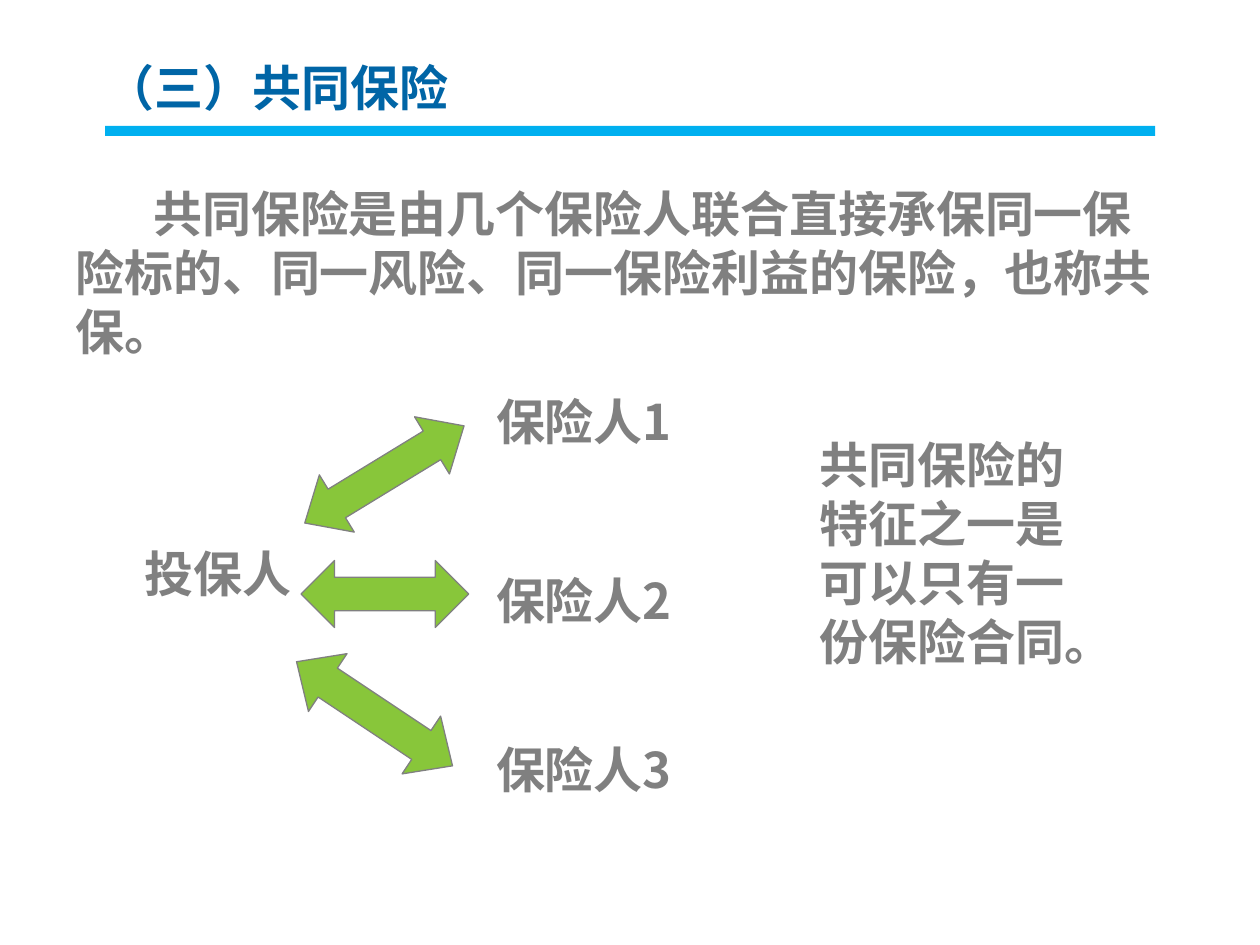
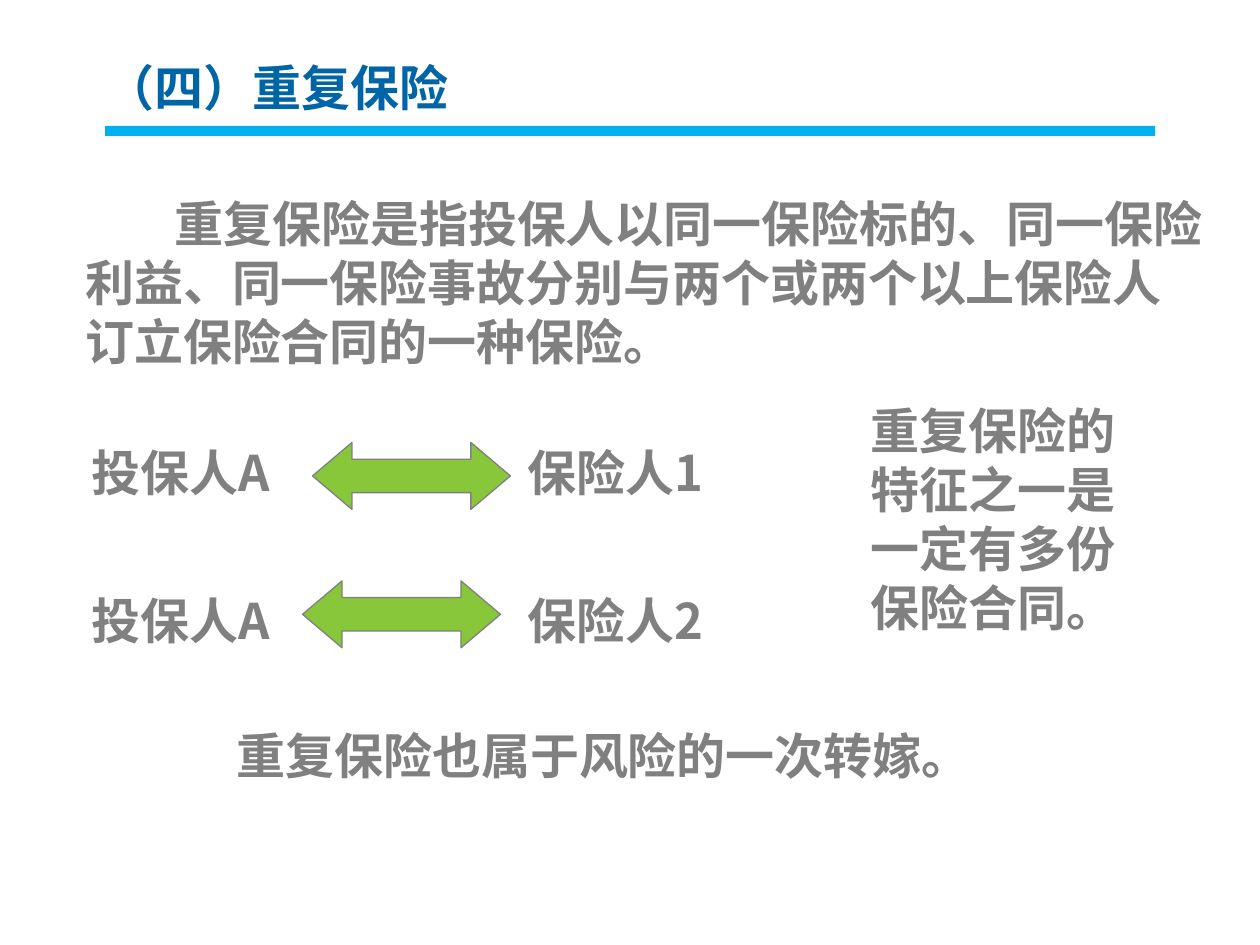
from pptx import Presentation
from pptx.dml.color import RGBColor
from pptx.enum.shapes import MSO_SHAPE
from pptx.enum.text import MSO_ANCHOR, PP_ALIGN
from pptx.oxml.ns import qn
from pptx.util import Cm, Pt

COLORS = {"title": "0065A6", "band": "00B0F0", "body": "808080", "arrow": "88C63A"}
FONT = "Noto Sans CJK SC"
SIZE = Pt(28)
LEADING = Pt(33.6)
TITLE_ONLY = 5


def color(name):
    return RGBColor.from_string(COLORS[name])


def style(frame, name):
    """Give a text frame the deck's insets, font and line pitch."""
    frame.word_wrap = True
    frame.vertical_anchor = MSO_ANCHOR.TOP
    frame.margin_left = frame.margin_right = Cm(0.25)
    frame.margin_top = frame.margin_bottom = Cm(0.18)
    for para in frame.paragraphs:
        para.alignment = PP_ALIGN.LEFT
        para.line_spacing = LEADING
        para.space_before = para.space_after = Pt(0)
        for run in para.runs:
            font = run.font
            font.name, font.size, font.bold = FONT, SIZE, True
            font.color.rgb = color(name)
            east = run._r.get_or_add_rPr().makeelement(qn("a:ea"), {"typeface": FONT})
            font._element.find(qn("a:latin")).addnext(east)


def add_page(deck, title):
    slide = deck.slides.add_slide(deck.slide_layouts[TITLE_ONLY])
    band = slide.shapes.add_shape(
        MSO_SHAPE.RECTANGLE, Cm(2.12), Cm(2.54), Cm(21.17), Cm(0.2))
    band.shadow.inherit = False
    band.fill.solid()
    band.fill.fore_color.rgb = color("band")
    band.line.fill.background()
    head = slide.shapes.title
    head.left, head.top, head.width, head.height = Cm(1.88), Cm(0.97), Cm(22.05), Cm(1.75)
    head.text_frame.text = title
    style(head.text_frame, "title")
    return slide


def add_text(slide, text, left, top, width, height=1.45, indent=0):
    """Place body text; indent applies to its first line only."""
    box = slide.shapes.add_textbox(Cm(left), Cm(top), Cm(width), Cm(height))
    frame = box.text_frame
    frame.text = text
    style(frame, "body")
    if indent:
        frame.paragraphs[0]._p.get_or_add_pPr().set("indent", str(Cm(indent)))


def add_arrow(slide, left, top, width, height=1.35, head=0.5, turn=0):
    arrow = slide.shapes.add_shape(
        MSO_SHAPE.LEFT_RIGHT_ARROW, Cm(left), Cm(top), Cm(width), Cm(height))
    arrow.shadow.inherit = False
    arrow.adjustments[0], arrow.adjustments[1] = 0.5, head
    arrow.rotation = turn
    arrow.fill.solid()
    arrow.fill.fore_color.rgb = color("arrow")
    arrow.line.color.rgb = color("body")
    arrow.line.width = Pt(0.75)


def add_shared(deck):
    slide = add_page(deck, "（三）共同保险")
    add_text(slide, "共同保险是由几个保险人联合直接承保同一保险标的、"
             "同一风险、同一保险利益的保险，也称共保。",
             1.27, 3.53, 22.63, 3.81, indent=1.57)
    add_text(slide, "投保人", 2.67, 10.77, 3.6)
    for num, top in enumerate((7.72, 11.33, 14.73), 1):
        add_text(slide, f"保险人{num}", 9.75, top, 4.1)
    add_text(slide, "共同保险的\n特征之一是\n可以只有一\n份保险合同。",
             16.28, 8.59, 6.6, 5)
    add_arrow(slide, 5.87, 8.89, 3.76, head=0.56, turn=328.6)
    add_arrow(slide, 6.07, 11.3, 3.38)
    add_arrow(slide, 5.66, 13.69, 3.78, 1.4, head=0.54, turn=33.7)


def add_double(deck):
    slide = add_page(deck, "（四）重复保险")
    add_text(slide, "重复保险是指投保人以同一保险标的、同一保险\n"
             "利益、同一保险事故分别与两个或两个以上保险人\n"
             "订立保险合同的一种保险。",
             1.47, 3.73, 23.5, 3.81, indent=1.8)
    rows = ((8.74, 6.3, 8.92), (11.73, 6.1, 11.71))
    for num, (top, left, level) in enumerate(rows, 1):
        add_text(slide, "投保人A", 1.6, top, 4.5)
        add_text(slide, f"保险人{num}", 10.39, top, 4.1)
        add_arrow(slide, left, level, 3.99, head=0.59)
    add_text(slide, "重复保险也属于风险的一次转嫁。", 4.52, 14.45, 15.6)
    add_text(slide, "重复保险的\n特征之一是\n一定有多份保险合同。",
             17.3, 7.9, 6.4, 5)


def main():
    deck = Presentation()
    deck.slide_width, deck.slide_height = Cm(25.4), Cm(19.05)
    add_shared(deck)
    add_double(deck)
    deck.save("out.pptx")


if __name__ == "__main__":
    main()
